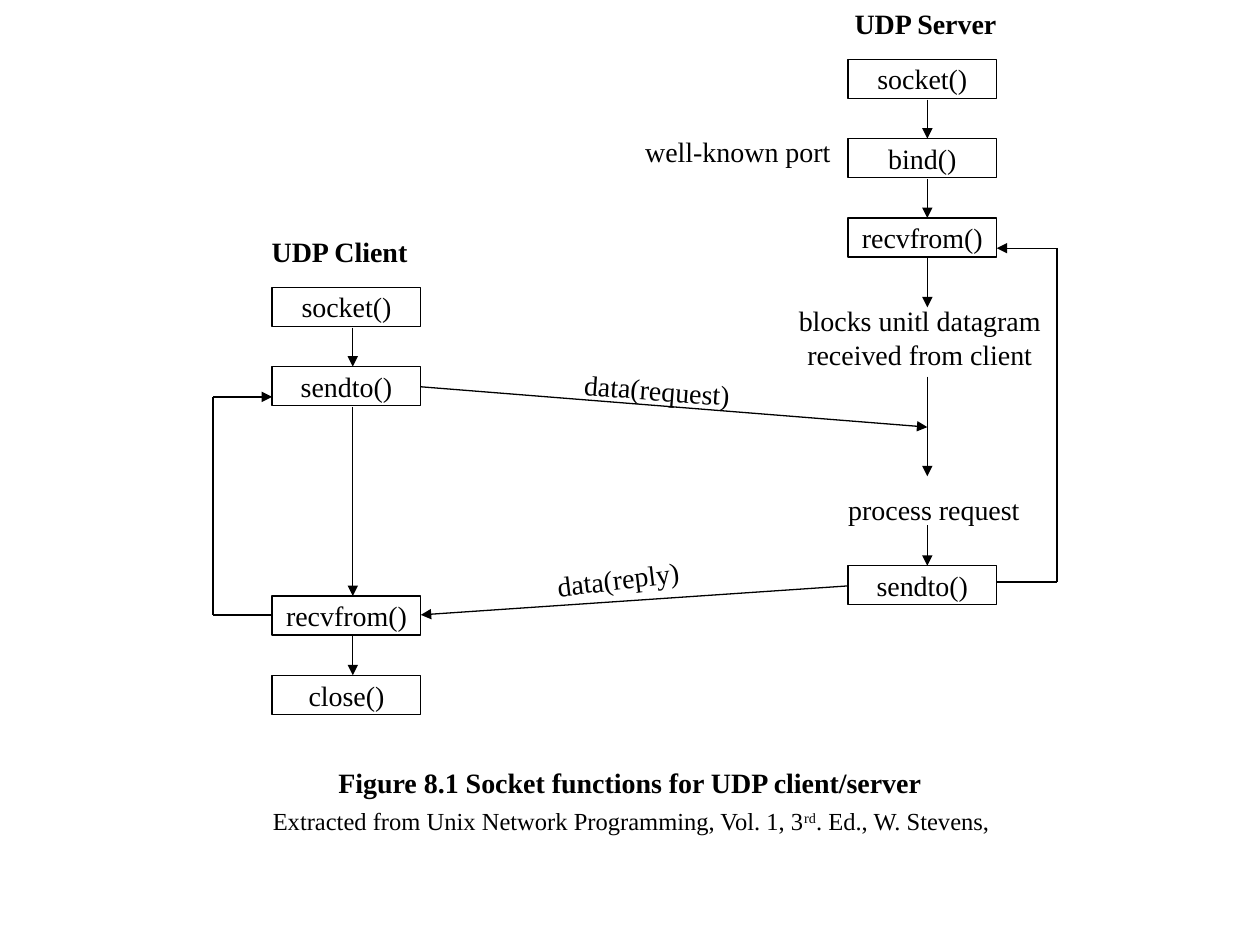
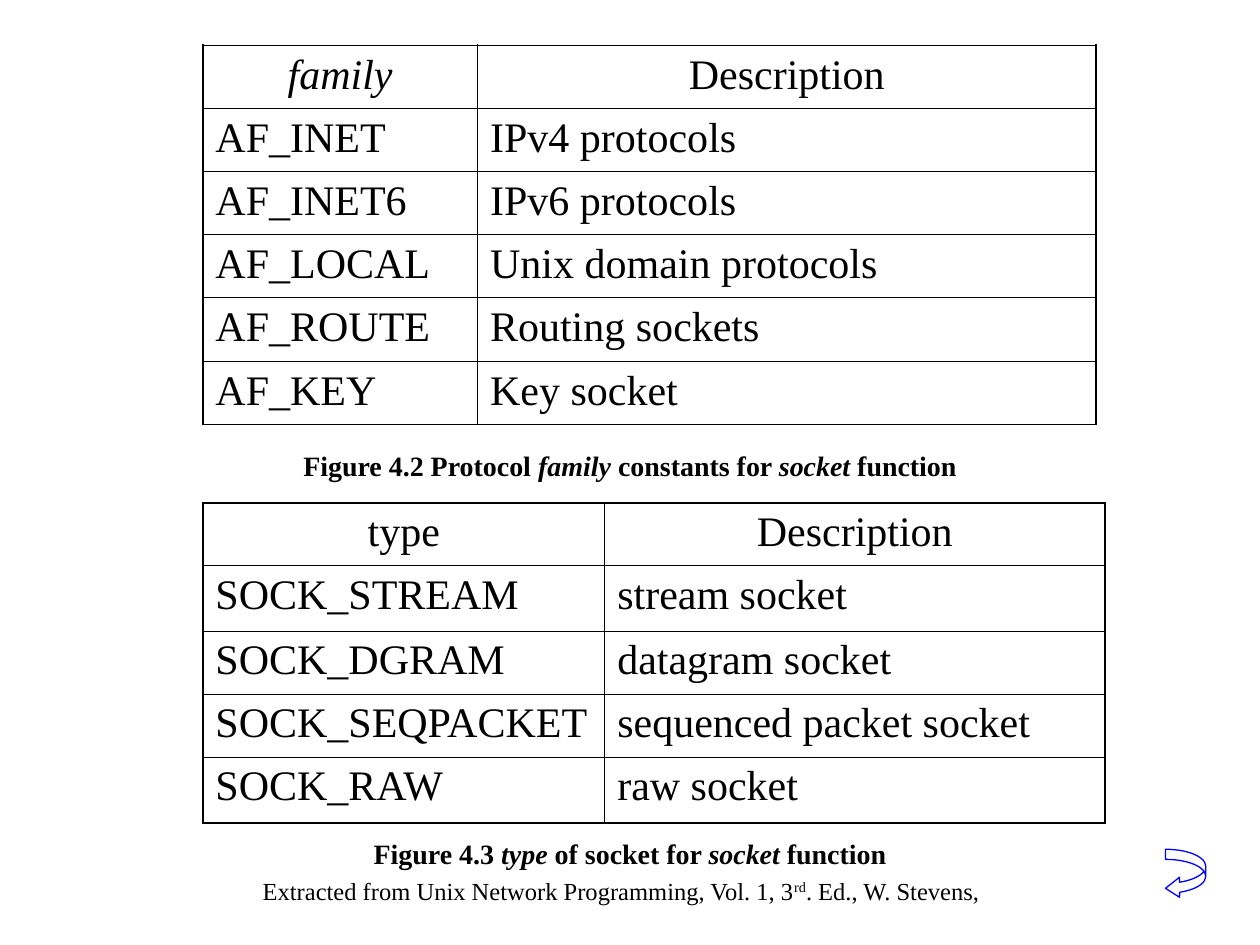
from lxml import etree
from pptx import Presentation
from pptx.dml.color import RGBColor
from pptx.enum.shapes import MSO_CONNECTOR, MSO_SHAPE
from pptx.enum.text import MSO_ANCHOR, MSO_AUTO_SIZE, PP_ALIGN as ALIGN
from pptx.oxml.ns import qn
from pptx.util import Inches, Pt

BLACK = RGBColor(0x00, 0x00, 0x00)
BLUE = RGBColor(0x00, 0x00, 0xFF)
FONT = "Times New Roman"
LINE = Pt(0.75)
OUTER_BORDER, INNER_BORDER = Pt(1.08), Pt(0.45)
BOX_W, BOX_H = 1.18, 0.31
LABEL_W, LABEL_H = 1.69, 0.37


class Sheet:
    """Shared style plus the slide that is being filled."""

    def __init__(self, deck):
        self.deck = deck
        self.slide = None

    def new_slide(self):
        self.slide = self.deck.slides.add_slide(self.deck.slide_layouts[6])

    def fill_text(self, frame, runs, align=ALIGN.CENTER, **formats):
        """Fill the first paragraph; each run is (text, own format values)."""
        paragraph = frame.paragraphs[0]
        paragraph.alignment = align
        for words, own in runs:
            run = paragraph.add_run()
            run.text = words
            run.font.color.rgb = BLACK
            for name, value in {"name": FONT, "size": Pt(16), **formats, **own}.items():
                setattr(run.font, name, value)

    def text(self, left, top, width, height, runs, rotation=0, **style):
        if isinstance(runs, str):
            runs = [(runs, {})]
        label = self.slide.shapes.add_textbox(*map(Inches, (left, top, width, height)))
        label.rotation = rotation
        frame = label.text_frame
        frame.word_wrap = True
        frame.auto_size = MSO_AUTO_SIZE.SHAPE_TO_FIT_TEXT
        self.fill_text(frame, runs, **style)
        return frame

    def label(self, left, top, words, **style):
        self.text(left, top, LABEL_W, LABEL_H, words, **style)

    def caption(self, top, *parts):
        """Bold full-width caption in which every second part is italic."""
        runs = [(part, {"italic": i % 2 == 1}) for i, part in enumerate(parts)]
        self.text(0, top, 10, LABEL_H, runs, bold=True)

    def credit(self, left, top):
        frame = self.text(left, top, 6.1, 0.34, [
            ("Extracted from Unix Network Programming, Vol. 1, 3", {}),
            ("rd", {}),
            (". Ed., W. Stevens,", {}),
        ], size=Pt(14))
        frame.margin_right = Inches(0.2)
        ordinal = frame.paragraphs[0].runs[1]
        ordinal._r.get_or_add_rPr().set("baseline", "30000")

    def outline(self, preset, left, top, width, height, color):
        shape = self.slide.shapes.add_shape(preset, *map(Inches, (left, top, width, height)))
        shape.shadow.inherit = False
        shape.fill.background()
        shape.line.color.rgb = color
        shape.line.width = LINE
        return shape

    def call_box(self, left, top, call):
        frame = self.outline(MSO_SHAPE.RECTANGLE, left, top, BOX_W, BOX_H, BLACK).text_frame
        frame.word_wrap = False
        frame.vertical_anchor = MSO_ANCHOR.MIDDLE
        self.fill_text(frame, [(call, {})])

    def arrow(self, *points):
        """Join the points by straight lines, with an arrowhead at the last."""
        for start, end in zip(points, points[1:]):
            line = self.slide.shapes.add_connector(
                MSO_CONNECTOR.STRAIGHT, *map(Inches, (*start, *end)))
            line.line.color.rgb = BLACK
            line.line.width = LINE
            properties = line._element.spPr
            etree.SubElement(properties, qn("a:effectLst"))
            if end == points[-1]:
                etree.SubElement(properties.find(qn("a:ln")), qn("a:tailEnd"), type="triangle")

    def border(self, cell, side, width):
        line = etree.SubElement(cell._tc.get_or_add_tcPr(), qn(f"a:ln{side}"), w=str(width))
        fill = etree.SubElement(line, qn("a:solidFill"))
        etree.SubElement(fill, qn("a:srgbClr"), val=str(BLACK))

    def table(self, left, top, widths, heights, rows, italic_head=False):
        last_row, last_col = len(rows) - 1, len(widths) - 1
        table = self.slide.shapes.add_table(
            len(rows), len(widths),
            *map(Inches, (left, top, sum(widths), sum(heights)))).table
        table.first_row = table.horz_banding = False
        for column, width in zip(table.columns, widths):
            column.width = Inches(width)
        for r, (row, height) in enumerate(zip(rows, heights)):
            table.rows[r].height = Inches(height)
            for c, words in enumerate(row):
                cell = table.cell(r, c)
                edges = {"L": c == 0, "R": c == last_col, "T": r == 0, "B": r == last_row}
                for side, outer in edges.items():
                    self.border(cell, side, OUTER_BORDER if outer else INNER_BORDER)
                cell.fill.background()
                self.fill_text(cell.text_frame, [(words, {})],
                               ALIGN.LEFT if r else ALIGN.CENTER, size=Pt(24),
                               italic=italic_head and r == c == 0)


def udp_calls(sheet):
    sheet.new_slide()
    server_x, client_x = 6.73, 2.16
    server_flow, client_flow = 7.36, 2.8
    server_right, client_right = server_x + BOX_W, client_x + BOX_W
    server_loop, client_loop = 8.39, 1.69

    for left, calls in (
        (server_x, {"socket()": 0.47, "bind()": 1.1, "recvfrom()": 1.73, "sendto()": 4.49}),
        (client_x, {"socket()": 2.28, "sendto()": 2.91, "recvfrom()": 4.73, "close()": 5.36}),
    ):
        for call, top in calls.items():
            sheet.call_box(left, top, call)

    for flow, steps in (
        (server_flow, [(0.79, 1.1), (1.42, 1.73), (2.05, 2.44), (2.99, 3.78), (4.17, 4.49)]),
        (client_flow, [(2.6, 2.91), (3.23, 4.73), (5.04, 5.36)]),
    ):
        for start, end in steps:
            sheet.arrow((flow, start), (flow, end))

    sheet.arrow((client_x, 4.88), (client_loop, 4.88), (client_loop, 3.15), (client_x, 3.15))
    sheet.arrow((server_right, 4.62), (server_loop, 4.62),
                (server_loop, 1.97), (server_right, 1.97))
    sheet.arrow((client_right, 3.07), (server_flow, 3.39))
    sheet.arrow((server_x, 4.65), (client_right, 4.88))

    sheet.label(6.5, 0, "UDP Server", bold=True)
    sheet.label(1.85, 1.81, "UDP Client", bold=True)
    sheet.label(5, 1.02, "well-known port", align=ALIGN.RIGHT)
    sheet.label(6.5, 3.86, "process request", align=ALIGN.RIGHT)
    sheet.label(4.37, 2.91, "data(request)", rotation=4.4)
    sheet.label(4.06, 4.41, "data(reply)", rotation=353.1)
    sheet.text(6.18, 2.36, 2.24, 0.64, "blocks unitl datagram received from client")
    sheet.caption(6.03, "Figure 8.1 Socket functions for UDP client/server")
    sheet.credit(2.01, 6.35)


def socket_constants(sheet):
    sheet.new_slide()
    sheet.table(1.61, 0.36, [2.18, 4.91], [0.5, 0.5, 0.5, 0.5, 0.51, 0.5], [
        ("family", "Description"),
        ("AF_INET", "IPv4 protocols"),
        ("AF_INET6", "IPv6 protocols"),
        ("AF_LOCAL", "Unix domain protocols"),
        ("AF_ROUTE", "Routing sockets"),
        ("AF_KEY", "Key socket"),
    ], italic_head=True)
    sheet.table(1.61, 3.99, [3.19, 3.97], [0.5, 0.52, 0.5, 0.5, 0.52], [
        ("type", "Description"),
        ("SOCK_STREAM", "stream socket"),
        ("SOCK_DGRAM", "datagram socket"),
        ("SOCK_SEQPACKET", "sequenced packet socket"),
        ("SOCK_RAW", "raw socket"),
    ])
    sheet.caption(3.51, "Figure 4.2 Protocol ", "family", " constants for ",
                  "socket", " function")
    sheet.caption(6.59, "Figure 4.3 ", "type", " of socket for ", "socket", " function")
    sheet.credit(1.93, 6.9)
    back_arrow = sheet.outline(MSO_SHAPE.CURVED_LEFT_ARROW, 9.25, 6.74, 0.32, 0.39, BLUE)
    back_arrow.adjustments[2] = 0.35


def main():
    deck = Presentation()
    deck.slide_width, deck.slide_height = Inches(10), Inches(7.5)
    sheet = Sheet(deck)
    udp_calls(sheet)
    socket_constants(sheet)
    deck.save("out.pptx")


if __name__ == "__main__":
    main()
